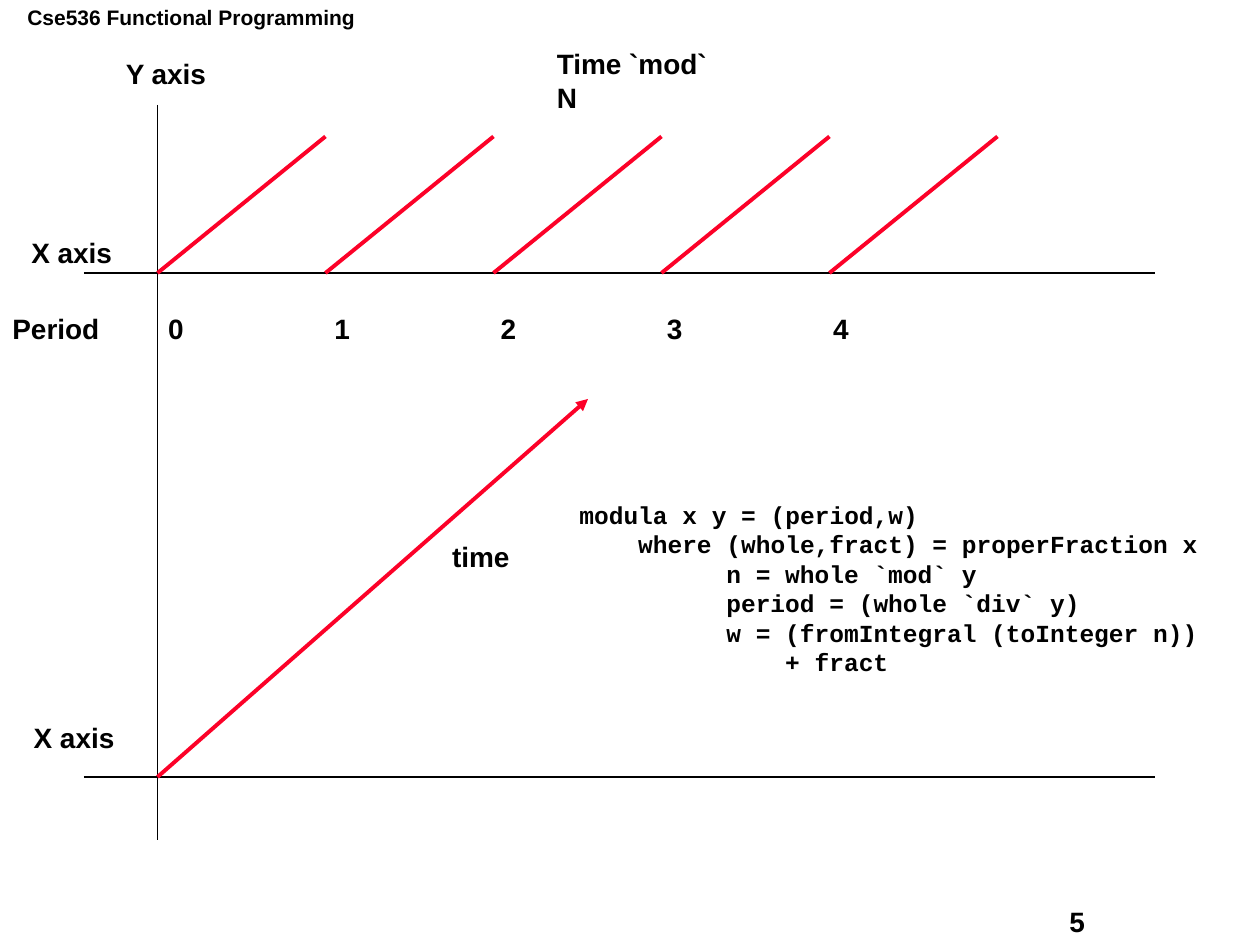
from dataclasses import dataclass

import lxml.etree
import pptx
import pptx.dml.color
import pptx.enum.shapes
import pptx.enum.text
import pptx.oxml.ns
import pptx.util

Pt = pptx.util.Pt
qn = pptx.oxml.ns.qn


@dataclass(frozen=True)
class Theme:
    ink: str = "000000"
    accent: str = "FC0128"
    font: str = "Arial"
    code_font: str = "Courier New"
    header: int = 12
    body: int = 16
    code: int = 14
    code_char: float = 8.4
    axis: float = 1
    curve: float = 2.25


class Canvas:
    def __init__(self, s, theme):
        self.s = s
        self.theme = theme

    def fill_text(self, tf, lines, size, font, wrap):
        tf.word_wrap = wrap
        tf.auto_size = pptx.enum.text.MSO_AUTO_SIZE.NONE
        tf.vertical_anchor = pptx.enum.text.MSO_ANCHOR.TOP
        for i, line in enumerate(lines):
            p = tf.paragraphs[0] if i == 0 else tf.add_paragraph()
            p.alignment = pptx.enum.text.PP_ALIGN.LEFT
            r = p.add_run()
            r.text = line
            r.font.name = font
            r.font.size = Pt(size)
            r.font.bold = True
            r.font.color.rgb = pptx.dml.color.RGBColor.from_string(self.theme.ink)

    def title(self, text, x, y, w, h):
        sp = self.s.shapes.title
        sp.left, sp.top, sp.width, sp.height = Pt(x), Pt(y), Pt(w), Pt(h)
        self.fill_text(sp.text_frame, [text], self.theme.body, self.theme.font, False)

    def text(self, lines, x, y, w, h, size=None, font=None, wrap=False):
        sp = self.s.shapes.add_textbox(Pt(x), Pt(y), Pt(w), Pt(h))
        self.fill_text(sp.text_frame, lines, size or self.theme.body,
                       font or self.theme.font, wrap)
        return sp.text_frame

    def tabbed(self, cells, stops, x, y, w, h):
        tf = self.text(["\t".join(cells)], x, y, w, h, wrap=True)
        pPr = tf.paragraphs[0]._p.get_or_add_pPr()
        tabs = lxml.etree.SubElement(pPr, qn("a:tabLst"))
        for stop in stops:
            lxml.etree.SubElement(tabs, qn("a:tab"), pos=str(Pt(stop)), algn="l")

    def code(self, lines, x, y, w, h):
        tf = self.text([line for _, line in lines], x, y, w, h,
                       self.theme.code, self.theme.code_font, True)
        for p, (indent, _) in zip(tf.paragraphs, lines):
            pPr = p._p.get_or_add_pPr()
            pPr.set("marL", str(Pt(indent * self.theme.code_char)))
            pPr.set("indent", "0")

    def line(self, x1, y1, x2, y2, color, width, arrow=False):
        c = self.s.shapes.add_connector(
            pptx.enum.shapes.MSO_CONNECTOR.STRAIGHT, Pt(x1), Pt(y1), Pt(x2), Pt(y2))
        c.line.color.rgb = pptx.dml.color.RGBColor.from_string(color)
        c.line.width = Pt(width)
        if arrow:
            ln = c._element.spPr.find(qn("a:ln"))
            lxml.etree.SubElement(ln, qn("a:tailEnd"), type="triangle")
        lxml.etree.SubElement(c._element.spPr, qn("a:effectLst"))

    def axis(self, x1, y1, x2, y2):
        self.line(x1, y1, x2, y2, self.theme.ink, self.theme.axis)

    def curve(self, x1, y1, x2, y2, arrow=False):
        self.line(x1, y1, x2, y2, self.theme.accent, self.theme.curve, arrow)


def main():
    prs = pptx.Presentation()
    prs.slide_width, prs.slide_height = Pt(720), Pt(540)
    theme = Theme()
    canvas = Canvas(prs.slides.add_slide(prs.slide_layouts[5]), theme)

    origin, upper, lower = 90, 156, 444
    period, rise, count = 96, 78, 5

    canvas.title("Time `mod` N", 311, 23, 116, 27)
    canvas.text(["Cse536 Functional Programming"], 8.6, -0.7, 202, 22, theme.header)
    canvas.text(["5"], 604, 513.4, 91, 26)

    canvas.axis(origin, 60, origin, 480)
    for y in (upper, lower):
        canvas.axis(48, y, 660, y)

    canvas.text(["Y axis"], 64.8, 29, 60.5, 27)
    canvas.text(["X axis"], 10.8, 131, 60.5, 27)
    canvas.text(["X axis"], 12.2, 408.2, 60.5, 27)

    canvas.curve(origin, lower, 336, 228, arrow=True)
    canvas.text(["time"], 251.3, 304.6, 47, 27)

    for i in range(count):
        x = origin + i * period
        canvas.curve(x, upper, x + period, upper - rise)

    canvas.tabbed(["Period"] + [str(i) for i in range(count)],
                  [89 + 95 * i for i in range(count)], 0, 174.2, 630, 27)

    canvas.code([
        (0, "modula x y = (period,w)"),
        (4, "where (whole,fract) = properFraction x"),
        (10, "n = whole `mod` y"),
        (10, "period = (whole `div` y)"),
        (10, "w = (fromIntegral (toInteger n))"),
        (14, "+ fract"),
    ], 324, 282.2, 372, 134)

    prs.save("out.pptx")


if __name__ == "__main__":
    main()
